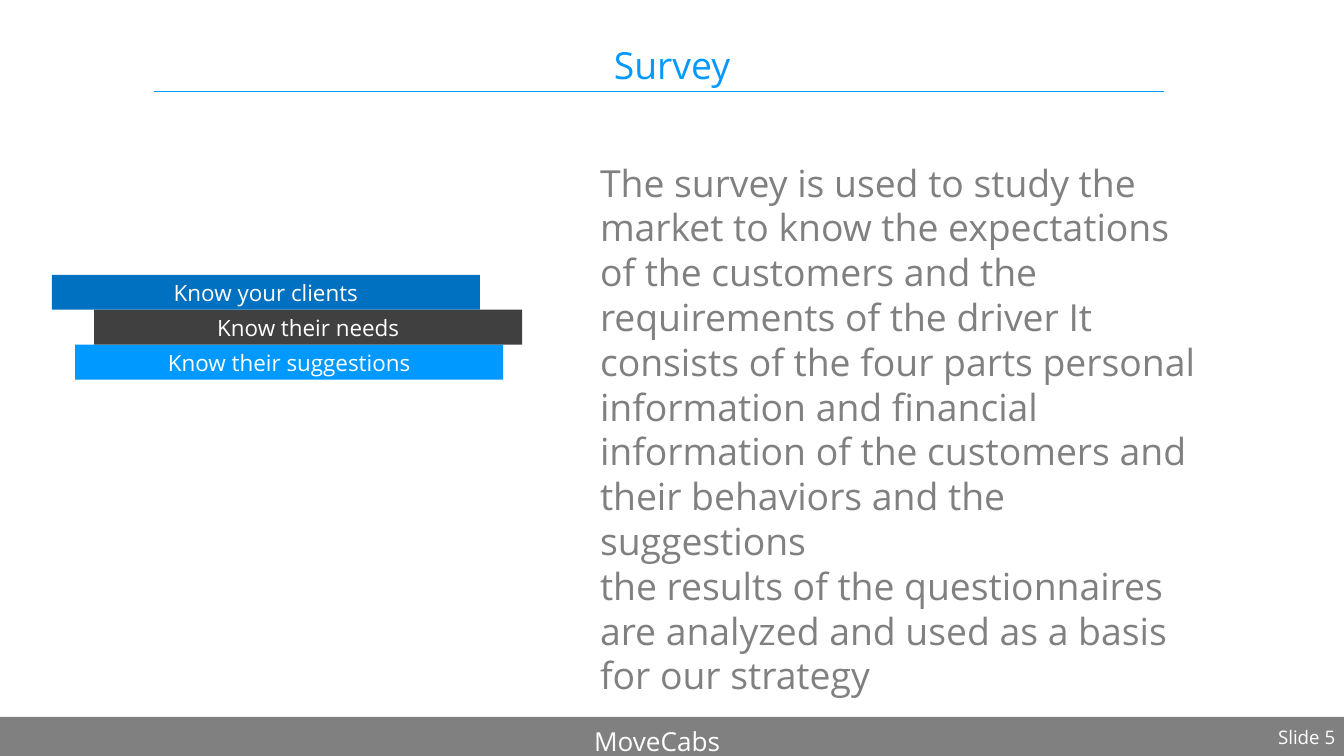
"""Build the survey slide with its title rule, ribbons, findings and footer."""
from dataclasses import dataclass

from lxml.etree import SubElement
from pptx import Presentation
from pptx.dml.color import RGBColor
from pptx.enum.shapes import MSO_CONNECTOR, MSO_SHAPE
from pptx.enum.text import MSO_ANCHOR, PP_ALIGN
from pptx.oxml.ns import qn
from pptx.util import Cm, Pt


@dataclass(frozen=True)
class Theme:
    font: str = "Open Sans"
    sky: str = "0099FF"
    blue: str = "0070C0"
    charcoal: str = "404040"
    gray: str = "808080"
    white: str = "FFFFFF"
    heading: int = 40
    footer: int = 28
    ribbon: int = 24
    number: int = 20


THEME = Theme()
SLIDE_WIDTH, SLIDE_HEIGHT = 50.8, 28.58
RIBBON_TOP, RIBBON_WIDTH, RIBBON_HEIGHT = 10.39, 16.18, 1.32
RIBBONS = [
    ("Know your clients", 1.96, THEME.blue),
    ("Know their needs", 3.56, THEME.charcoal),
    ("Know their suggestions", 2.84, THEME.sky),
]
FINDINGS = [
    "The survey is used to study the market to know the expectations of the "
    "customers and the requirements of the driver It consists of the four parts "
    "personal information and financial information of the customers and their "
    "behaviors and the suggestions",
    "the results of the questionnaires are analyzed and used as a basis for our strategy",
]
CENTERED = {"alignment": PP_ALIGN.CENTER}
TIGHT = {**CENTERED, "line_spacing": 0.9}


def apply(target, values):
    for name, value in values.items():
        setattr(target, name, value)


def write(holder, lines, size, color, layout, anchor=MSO_ANCHOR.TOP):
    frame = holder.text_frame
    apply(frame, {"word_wrap": True, "vertical_anchor": anchor})
    for index, line in enumerate(lines):
        paragraph = frame.add_paragraph() if index else frame.paragraphs[0]
        apply(paragraph, layout)
        run = paragraph.add_run()
        run.text = line
        apply(run.font, {"name": THEME.font, "size": Pt(size)})
        run.font.color.rgb = RGBColor.from_string(color)


def add_text(slide, box, *text):
    write(slide.shapes.add_textbox(*map(Cm, box)), *text)


def add_bar(slide, box, color):
    bar = slide.shapes.add_shape(MSO_SHAPE.RECTANGLE, *map(Cm, box))
    bar.shadow.inherit = False
    bar.fill.solid()
    bar.fill.fore_color.rgb = RGBColor.from_string(color)
    bar.line.fill.background()
    return bar


def add_rule(slide, left, right, height):
    rule = slide.shapes.add_connector(
        MSO_CONNECTOR.STRAIGHT, Cm(left), Cm(height), Cm(right), Cm(height)
    )
    rule.line.width = Pt(0.5)
    rule.line.color.rgb = RGBColor.from_string(THEME.sky)
    SubElement(rule._element.spPr, qn("a:effectLst"))


def add_ribbons(slide):
    for row, (label, left, color) in reversed(list(enumerate(RIBBONS))):
        top = RIBBON_TOP + row * RIBBON_HEIGHT
        ribbon = add_bar(slide, (left, top, RIBBON_WIDTH, RIBBON_HEIGHT), color)
        layout = {**TIGHT, "space_before": Pt(15)}
        write(ribbon, [label], THEME.ribbon, THEME.white, layout, MSO_ANCHOR.BOTTOM)


def main():
    deck = Presentation()
    apply(deck, {"slide_width": Cm(SLIDE_WIDTH), "slide_height": Cm(SLIDE_HEIGHT)})
    slide = deck.slides.add_slide(deck.slide_layouts[6])
    add_bar(slide, (0, 27.1, SLIDE_WIDTH, SLIDE_HEIGHT - 27.1), THEME.gray)
    add_rule(slide, 5.82, 43.99, 3.45)
    add_text(slide, (16.26, 27.28, 17.15, 0.97), ["MoveCabs"],
             THEME.footer, THEME.white, CENTERED)
    add_text(slide, (39.29, 27.31, 11.43, 0.94), ["Slide 5"],
             THEME.number, THEME.white, {"alignment": PP_ALIGN.RIGHT})
    add_text(slide, (0.89, 1.3, 49.02, 2.13), ["Survey"],
             THEME.heading, THEME.sky, TIGHT, MSO_ANCHOR.BOTTOM)
    add_ribbons(slide)
    add_text(slide, (22.43, 5.92, 23.06, 12.22), FINDINGS,
             THEME.heading, THEME.gray, {"alignment": PP_ALIGN.LEFT})
    deck.save("out.pptx")


if __name__ == "__main__":
    main()
